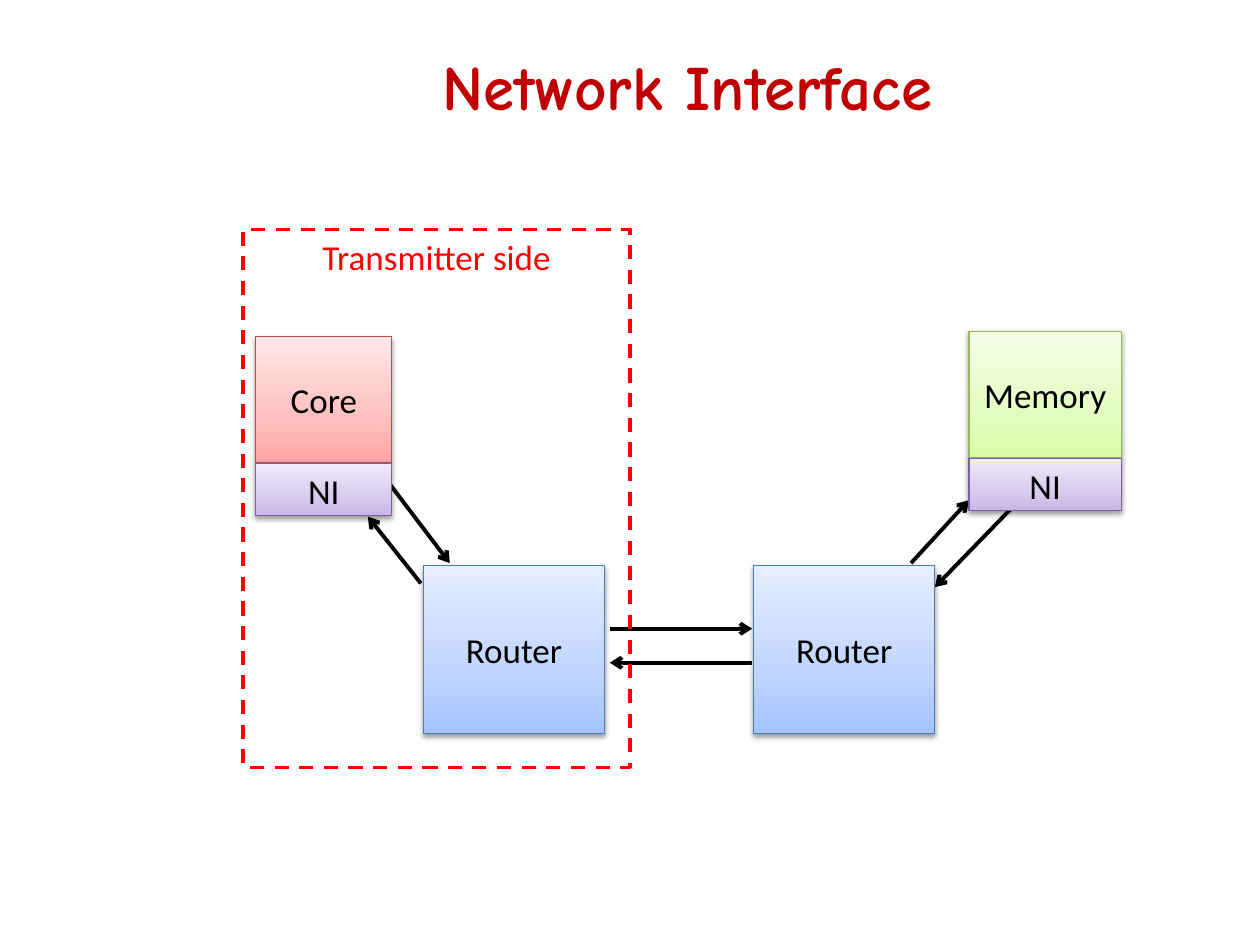
from dataclasses import dataclass

from lxml.etree import SubElement
from pptx import Presentation
from pptx.dml.color import RGBColor
from pptx.enum.dml import MSO_LINE_DASH_STYLE as Dash
from pptx.enum.shapes import MSO_CONNECTOR as Connector, MSO_SHAPE as Preset
from pptx.enum.text import MSO_ANCHOR as Anchor, PP_ALIGN as Align
from pptx.oxml.ns import qn
from pptx.util import Inches, Pt

COLORS = {
    "title": "C00000",
    "text": "000000",
    "shadow": "000000",
    "arrow": "000000",
    "boundary": "FF0000",
}
GRADIENTS = {
    "router": ("A4C4FF", "BFD4FF", "E6EEFF"),
    "core": ("FFA6A5", "FFC0BF", "FFE7E7"),
    "memory": ("DAFDA7", "E4FCC2", "F5FFE7"),
    "ni": ("C9B5E8", "D8CBEE", "F0EAF9"),
}
OUTLINES = {"router": "4B7EBC", "core": "BF4C48", "memory": "98B955", "ni": "7D60A0"}
STOP_POSITIONS = (0, 35000, 100000)


@dataclass(frozen=True)
class Block:
    label: str
    kind: str
    left: float
    top: float
    width: float
    height: float
    anchor: Anchor = Anchor.MIDDLE


@dataclass(frozen=True)
class Arrow:
    start: tuple[float, float]
    end: tuple[float, float]


def node_with_interface(label: str, kind: str, left: float, top: float, width: float) -> list[Block]:
    return [
        Block(label, kind, left, top, width, 1),
        Block("NI", "ni", left, top + 1.01, width, 0.41, Anchor.TOP),
    ]


def router(left: float) -> Block:
    return Block("Router", "router", left, 4.49, 1.44, 1.33)


def write_label(frame, label: str, size: int, font: str, color: str, anchor: Anchor, bold: bool = False) -> None:
    frame.text = label
    frame.word_wrap = True
    frame.vertical_anchor = anchor
    paragraph = frame.paragraphs[0]
    paragraph.alignment = Align.CENTER
    style = paragraph.runs[0].font
    style.size, style.name, style.bold = Pt(size), font, bold
    style.color.rgb = RGBColor.from_string(color)


def add_gradient(shape, stops: tuple[str, str, str]) -> None:
    shape.fill.gradient()
    shape.fill.gradient_angle = 90
    stop_list = shape._element.spPr.find(qn("a:gradFill")).find(qn("a:gsLst"))
    for stop in list(stop_list):
        stop_list.remove(stop)
    for position, color in zip(STOP_POSITIONS, stops):
        stop = SubElement(stop_list, qn("a:gs"), pos=str(position))
        SubElement(stop, qn("a:srgbClr"), val=color)


def add_drop_shadow(shape) -> None:
    effects = shape._element.spPr.find(qn("a:effectLst"))
    shadow = SubElement(effects, qn("a:outerShdw"), blurRad=str(Pt(3.1)), dist=str(Pt(1.6)),
                        dir="5400000", rotWithShape="0")
    color = SubElement(shadow, qn("a:srgbClr"), val=COLORS["shadow"])
    SubElement(color, qn("a:alpha"), val="38000")


def add_rectangle(slide, left: float, top: float, width: float, height: float, outline: str, weight: float):
    rectangle = slide.shapes.add_shape(Preset.RECTANGLE, Inches(left), Inches(top), Inches(width), Inches(height))
    rectangle.shadow.inherit = False
    rectangle.line.color.rgb = RGBColor.from_string(outline)
    rectangle.line.width = Pt(weight)
    return rectangle


def draw_block(slide, block: Block) -> None:
    rectangle = add_rectangle(slide, block.left, block.top, block.width, block.height, OUTLINES[block.kind], 0.75)
    add_gradient(rectangle, GRADIENTS[block.kind])
    add_drop_shadow(rectangle)
    write_label(rectangle.text_frame, block.label, 20, "Calibri", COLORS["text"], block.anchor)


def draw_arrow(slide, arrow: Arrow) -> None:
    ends = [Inches(value) for value in (*arrow.start, *arrow.end)]
    connector = slide.shapes.add_connector(Connector.STRAIGHT, *ends)
    connector.line.color.rgb = RGBColor.from_string(COLORS["arrow"])
    connector.line.width = Pt(2.25)
    SubElement(connector.line._get_or_add_ln(), qn("a:tailEnd"), type="arrow")
    SubElement(connector._element.spPr, qn("a:effectLst"))


def draw_boundary(slide) -> None:
    boundary = add_rectangle(slide, 1.93, 1.82, 3.07, 4.27, COLORS["boundary"], 2)
    boundary.fill.background()
    boundary.line.dash_style = Dash.DASH
    write_label(boundary.text_frame, "Transmitter side", 20, "Calibri", COLORS["boundary"], Anchor.TOP)


def draw_title(slide) -> None:
    title = slide.shapes.add_textbox(Inches(1.08), Inches(0.14), Inches(8.75), Inches(1.08))
    write_label(title.text_frame, "Network Interface", 36, "Comic Neue", COLORS["title"], Anchor.MIDDLE, True)


def main() -> None:
    presentation = Presentation()
    presentation.slide_width, presentation.slide_height = Inches(10), Inches(7.5)
    slide = presentation.slides.add_slide(presentation.slide_layouts[6])

    arrows = [
        Arrow((2.72, 3.35), (3.57, 4.47)),
        Arrow((3.34, 4.63), (2.92, 4.1)),
        Arrow((4.84, 4.99), (5.97, 4.99)),
        Arrow((5.97, 5.26), (4.84, 5.26)),
        Arrow((8.4, 3.65), (7.42, 4.66)),
        Arrow((7.23, 4.47), (7.69, 3.97)),
    ]
    blocks = [
        router(3.36),
        router(5.98),
        *node_with_interface("Core", "core", 2.03, 2.67, 1.08),
        *node_with_interface("Memory", "memory", 7.69, 2.63, 1.21),
    ]

    draw_title(slide)
    for arrow in arrows:
        draw_arrow(slide, arrow)
    for block in blocks:
        draw_block(slide, block)
    draw_boundary(slide)
    presentation.save("out.pptx")


if __name__ == "__main__":
    main()
